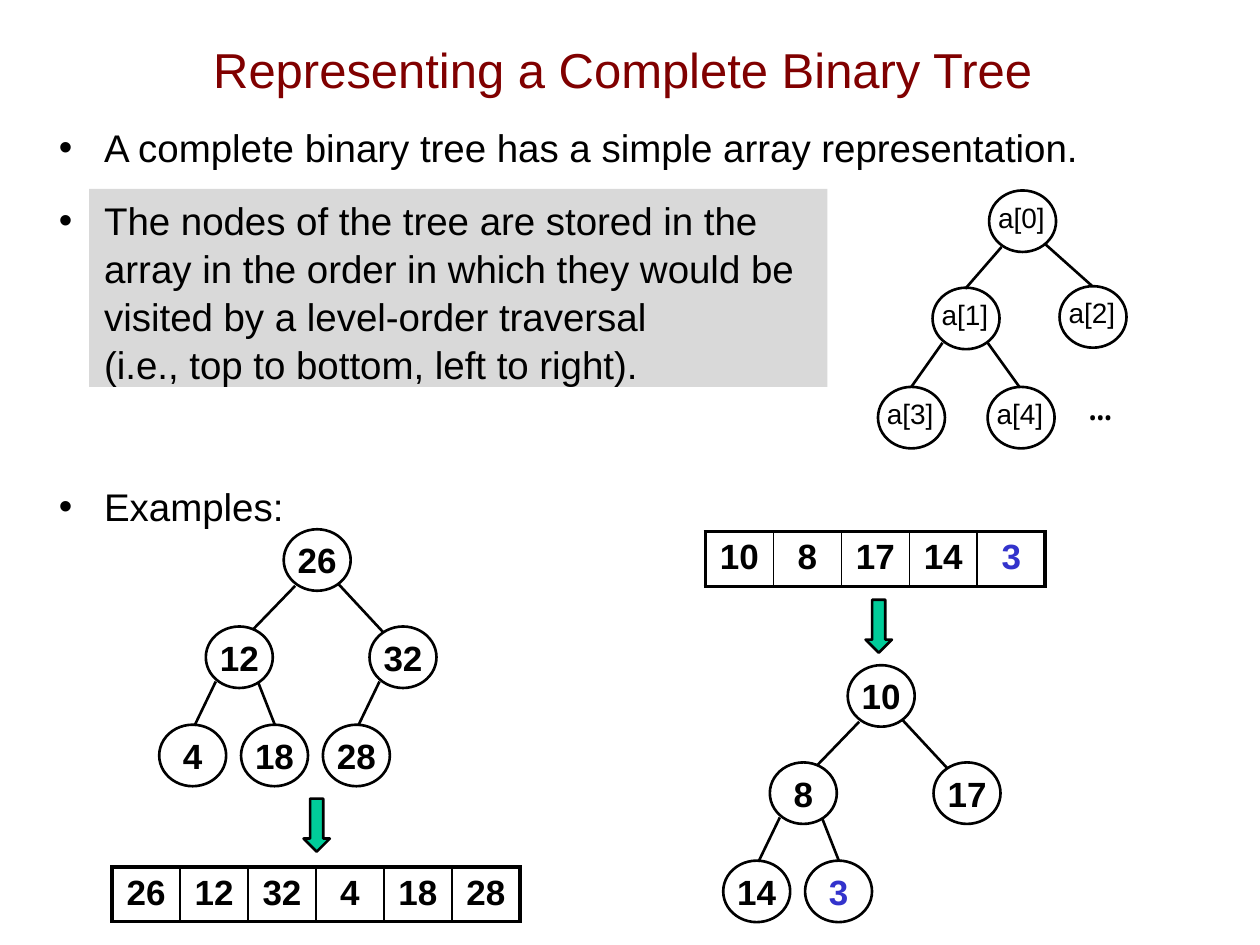
from lxml import etree
from pptx import Presentation
from pptx import util as u
from pptx.dml import color
from pptx.enum import shapes, text
from pptx.oxml import ns

BLACK, WHITE, MAROON = "000000", "FFFFFF", "800000"
GREY, GREEN, BLUE = "D9D9D9", "00CC99", "3333CC"
NODE_W, NODE_H = 1.35, 1.24
CELL_W, CELL_H = 1.37, 1.1

# Level-order node offsets and edges (x1, y1, x2, y2), from the root's corner, in cm
INDEX_LAYOUT = (
    [(0, 0), (-1.14, 1.96), (1.42, 1.93), (-2.24, 3.96), (-0.03, 3.96)],
    [(0.25, 1.14, -0.48, 1.98), (1.14, 1.09, 2.08, 1.93),
     (-0.94, 3.07, -1.57, 3.96), (-0.03, 3.07, 0.61, 3.96)],
)
NUMBER_LAYOUT = (
    [(0, 0), (-1.57, 1.96), (1.73, 1.96), (-2.51, 3.94), (-0.86, 3.94), (0.79, 3.94)],
    [(0.23, 1.14, -0.61, 2.01), (1.09, 1.09, 2.01, 2.08), (-1.37, 3.07, -1.8, 3.96),
     (-0.51, 3.1, -0.18, 3.94), (1.93, 3.07, 1.5, 3.96)],
)


def rgb(value):
    return color.RGBColor.from_string(value)


def sub(parent, tag, **attrs):
    return etree.SubElement(parent, ns.qn(tag), **attrs)


class Deck:
    """Holds the text style and the slide being drawn."""

    def __init__(self, s, font="Arial", line_width=1.5):
        self.s, self.font, self.line_width = s, font, line_width

    def run(self, p, words, size, ink=BLACK, bold=False, font=None):
        r = p.add_run()
        r.text = words
        r.font.name = font or self.font
        r.font.size = u.Pt(size)
        r.font.bold = bold
        r.font.color.rgb = rgb(ink)

    def box(self, x, y, w, h):
        sp = self.s.shapes.add_textbox(u.Cm(x), u.Cm(y), u.Cm(w), u.Cm(h))
        sp.text_frame.word_wrap = True
        return sp.text_frame

    def line_of_text(self, x, y, w, h, words, size, **style):
        tf = self.box(x, y, w, h)
        tf.vertical_anchor = text.MSO_ANCHOR.MIDDLE
        p = tf.paragraphs[0]
        p.alignment = text.PP_ALIGN.CENTER
        self.run(p, words, size, **style)

    def bullets(self, x, y, w, h, items, size):
        """Draws items given as (space before, lines)."""
        tf = self.box(x, y, w, h)
        for i, (before, lines) in enumerate(items):
            p = tf.add_paragraph() if i else tf.paragraphs[0]
            p.line_spacing = 1.04
            p.space_before = u.Pt(before)
            pPr = p._p.get_or_add_pPr()
            pPr.set("marL", str(u.Cm(0.91)))
            pPr.set("indent", str(-u.Cm(0.91)))
            sub(sub(pPr, "a:buClr"), "a:srgbClr", val=BLACK)
            sub(pPr, "a:buFont", typeface=self.font)
            sub(pPr, "a:buChar", char="•")
            for j, words in enumerate(lines):
                if j:
                    p.add_line_break()
                self.run(p, words, size)

    def shape(self, kind, x, y, w, h, fill=None, outlined=True):
        sp = self.s.shapes.add_shape(kind, u.Cm(x), u.Cm(y), u.Cm(w), u.Cm(h))
        sp.shadow.inherit = False
        if fill:
            sp.fill.solid()
            sp.fill.fore_color.rgb = rgb(fill)
        else:
            sp.fill.background()
        if outlined:
            sp.line.color.rgb = rgb(BLACK)
            sp.line.width = u.Pt(self.line_width)
        else:
            sp.line.fill.background()
        return sp

    def down_arrow(self, x, y):
        sp = self.shape(shapes.MSO_SHAPE.DOWN_ARROW, x, y, 0.53, 1.07, GREEN)
        sp.adjustments[0], sp.adjustments[1] = 0.5, 0.5

    def index_node(self, x, y, words, ink):
        """Draws a circle over a white label that is slightly wider."""
        sp = self.shape(shapes.MSO_SHAPE.RECTANGLE, x - 0.12, y + 0.07, 1.54, 1.04,
                        WHITE, outlined=False)
        sp.text_frame.vertical_anchor = text.MSO_ANCHOR.TOP
        p = sp.text_frame.paragraphs[0]
        p.alignment = text.PP_ALIGN.CENTER
        self.run(p, words, 16, ink)
        self.shape(shapes.MSO_SHAPE.OVAL, x, y, NODE_W, NODE_H)

    def number_node(self, x, y, words, ink):
        tf = self.shape(shapes.MSO_SHAPE.OVAL, x, y, NODE_W, NODE_H).text_frame
        tf.margin_left = tf.margin_right = tf.margin_top = tf.margin_bottom = 0
        tf.vertical_anchor = text.MSO_ANCHOR.MIDDLE
        p = tf.paragraphs[0]
        p.alignment = text.PP_ALIGN.CENTER
        self.run(p, words, 20, ink, bold=True)

    def edge(self, x1, y1, x2, y2):
        c = self.s.shapes.add_connector(shapes.MSO_CONNECTOR.STRAIGHT,
                                        u.Cm(x1), u.Cm(y1), u.Cm(x2), u.Cm(y2))
        c.line.color.rgb = rgb(BLACK)
        c.line.width = u.Pt(self.line_width)
        sub(c._element.spPr, "a:effectLst")

    def tree(self, x, y, values, layout, node, inks):
        """Draws values in level order with the root's corner at x, y."""
        places, edges = layout
        for (dx, dy), value in zip(places, values):
            node(x + dx, y + dy, value, inks.get(value, BLACK))
        for x1, y1, x2, y2 in edges[:len(values) - 1]:
            self.edge(x + x1, y + y1, x + x2, y + y2)

    def array(self, x, y, values, inks):
        n = len(values)
        tbl = self.s.shapes.add_table(1, n, u.Cm(x), u.Cm(y),
                                      u.Cm(CELL_W * n), u.Cm(CELL_H)).table
        tbl.first_row = tbl.horz_banding = False
        for i, value in enumerate(values):
            tbl.columns[i].width = u.Cm(CELL_W)
            cell = tbl.cell(0, i)
            p = cell.text_frame.paragraphs[0]
            p.alignment = text.PP_ALIGN.CENTER
            self.run(p, value, 20, inks.get(value, BLACK), bold=True)
            self.borders(cell, left=2.25 if i == 0 else 1, right=2.25 if i == n - 1 else 1)
            cell.fill.background()

    def borders(self, cell, left, right, edge=2.25):
        tcPr = cell._tc.get_or_add_tcPr()
        for side, width in zip("LRTB", (left, right, edge, edge)):
            ln = sub(tcPr, f"a:ln{side}", w=str(u.Pt(width)))
            sub(sub(ln, "a:solidFill"), "a:srgbClr", val=BLACK)


def main():
    prs = Presentation()
    prs.slide_width, prs.slide_height = u.Cm(25.4), u.Cm(19.05)
    d = Deck(prs.slides.add_slide(prs.slide_layouts[6]))

    d.shape(shapes.MSO_SHAPE.RECTANGLE, 1.8, 3.81, 14.88, 3.99, GREY, outlined=False)
    d.line_of_text(1.63, 0.2, 21.84, 2.36, "Representing a Complete Binary Tree", 28,
                   ink=MAROON)
    d.bullets(0.94, 2.34, 23.29, 15.6, [
        (0, ["A complete binary tree has a simple array representation."]),
        (14, ["The nodes of the tree are stored in the",
              "array in the order in which they would be",
              "visited by a level-order traversal",
              "(i.e., top to bottom, left to right)."]),
        (54, ["Examples:"]),
    ], 22)

    d.tree(19.94, 3.84, [f"a[{i}]" for i in range(5)], INDEX_LAYOUT, d.index_node, {})
    d.line_of_text(21.31, 7.57, 1.75, 1.19, "…", 22, font="Noto Sans Mono")

    to_array = ["26", "12", "32", "4", "18", "28"]
    d.tree(5.72, 10.67, to_array, NUMBER_LAYOUT, d.number_node, {})
    d.down_arrow(6.12, 16.1)
    d.array(2.26, 17.48, to_array, {})

    to_tree, last_blue = ["10", "8", "17", "14", "3"], {"3": BLUE}
    d.array(14.22, 10.72, to_tree, last_blue)
    d.down_arrow(17.45, 12.09)
    d.tree(17.09, 13.41, to_tree, NUMBER_LAYOUT, d.number_node, last_blue)

    prs.save("out.pptx")


if __name__ == "__main__":
    main()
